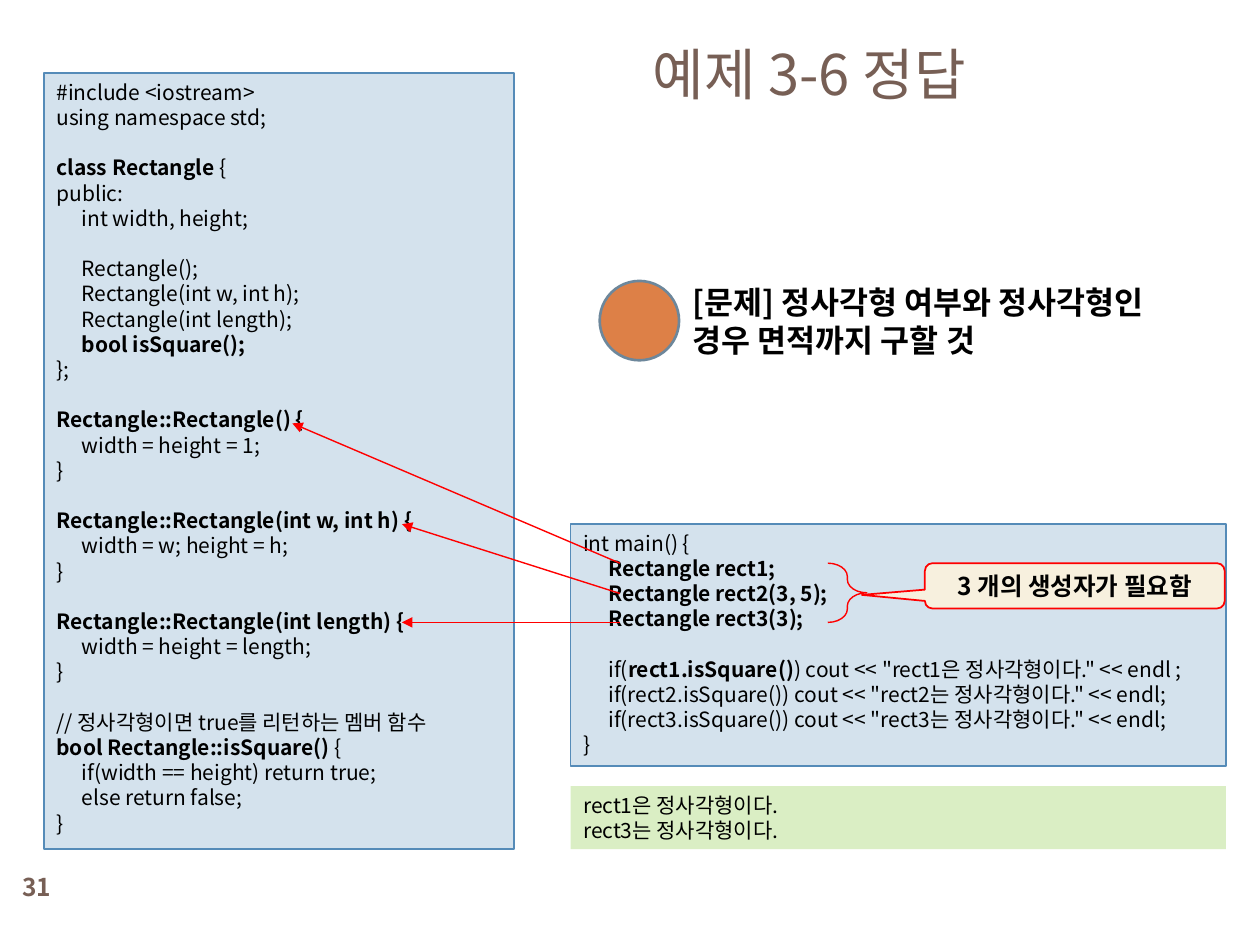
"""Build the answer slide for example 3-6: Rectangle constructors and isSquare()."""
from pptx import Presentation
from pptx.dml.color import RGBColor
from pptx.enum.shapes import MSO_CONNECTOR, MSO_SHAPE
from pptx.enum.text import MSO_ANCHOR, MSO_AUTO_SIZE, PP_ALIGN
from pptx.oxml.ns import qn
from pptx.util import Inches, Pt
from lxml.etree import SubElement

FONT = "Noto Sans CJK KR"
BLACK, BROWN, RED = "000000", "775F55", "FF0000"
CODE_FILL, CODE_LINE = "D4E2ED", "558BB8"
LINE_RATIO = 1.2
TAB = 0.2

CLASS_CODE = [
    ["#include <iostream>", "using namespace std;"],
    ["**class Rectangle **{", "public:", "\tint width, height;"],
    ["\tRectangle();", "\tRectangle(int w, int h);", "\tRectangle(int length);",
     "\t**bool isSquare();**", "};"],
    ["**Rectangle::Rectangle() {**", "\twidth = height = 1;", "}"],
    ["**Rectangle::Rectangle(int w, int h) {**", "\twidth = w; height = h;", "}"],
    ["**Rectangle::Rectangle(int length) {**", "\twidth = height = length;", "}"],
    ["// 정사각형이면 true를 리턴하는 멤버 함수", "**bool Rectangle::isSquare() **{",
     "\tif(width == height) return true;", "\telse return false;", "}"],
]
MAIN_CODE = [
    ["int main() {", "\t**Rectangle rect1;**", "\t**Rectangle rect2(3, 5);**",
     "\t**Rectangle rect3(3);**"],
    ['\tif(**rect1.isSquare()**) cout << "rect1은 정사각형이다." << endl ;',
     '\tif(rect2.isSquare()) cout << "rect2는 정사각형이다." << endl;',
     '\tif(rect3.isSquare()) cout << "rect3는 정사각형이다." << endl;', "}"],
]
OUTPUT = [["rect1은 정사각형이다.", "rect3는 정사각형이다."]]
PANELS = [
    (CLASS_CODE, (0.35, 0.58, 3.73, 6.16), CODE_FILL, CODE_LINE),
    (MAIN_CODE, (4.53, 4.16, 5.2, 1.92), CODE_FILL, CODE_LINE),
    (OUTPUT, (4.53, 6.24, 5.2, 0.5), "DAEEC4", None),
]
CALLS = [((4.92, 4.47), (2.32, 3.36)),
         ((4.92, 4.71), (3.19, 4.16)),
         ((4.92, 4.94), (3.19, 4.94))]


def rgb(color):
    """Turn a hex string into a colour."""
    return RGBColor.from_string(color)


def inches(values):
    """Turn numbers into lengths."""
    return [Inches(v) for v in values]


def write(sp, blocks, size=12, color=BLACK, align=PP_ALIGN.LEFT, anchor=MSO_ANCHOR.TOP):
    """Write blocks of lines, a line's gap between blocks, bold between ** marks."""
    tf = sp.text_frame
    tf.word_wrap = True
    tf.auto_size = MSO_AUTO_SIZE.NONE
    tf.vertical_anchor = anchor
    pitch = Pt(size * LINE_RATIO)
    lines = [(b, n, line) for b, block in enumerate(blocks) for n, line in enumerate(block)]
    for i, (b, n, line) in enumerate(lines):
        p = tf.add_paragraph() if i else tf.paragraphs[0]
        if line.startswith("\t"):
            tabs = SubElement(p._p.get_or_add_pPr(), qn("a:tabLst"))
            SubElement(tabs, qn("a:tab"), pos=str(Inches(TAB)), algn="l")
        p.alignment = align
        p.line_spacing = pitch
        if b and n == 0:
            p.space_before = pitch
        for part, text in enumerate(line.split("**")):
            if text:
                r = p.add_run()
                r.text = text
                r.font.size, r.font.name, r.font.bold = Pt(size), FONT, part % 2 == 1
                r.font.color.rgb = rgb(color)
                SubElement(r._r.get_or_add_rPr(), qn("a:ea"), typeface=FONT)


def add_shape(s, kind, box, fill=None, line=None, width=0.75, adj=()):
    """Add a flat preset shape."""
    sp = s.shapes.add_shape(kind, *inches(box))
    sp.shadow.inherit = False
    for i, value in enumerate(adj):
        sp.adjustments[i] = value
    if fill:
        sp.fill.solid()
        sp.fill.fore_color.rgb = rgb(fill)
    else:
        sp.fill.background()
    if line:
        sp.line.color.rgb = rgb(line)
        sp.line.width = Pt(width)
    else:
        sp.line.fill.background()
    return sp


def add_arrow(s, start, end):
    """Add a red arrow from a call to its constructor."""
    cn = s.shapes.add_connector(MSO_CONNECTOR.STRAIGHT, *inches(start + end))
    cn.line.color.rgb = rgb(RED)
    cn.line.width = Pt(0.79)
    SubElement(cn.line._get_or_add_ln(), qn("a:tailEnd"), type="triangle")
    SubElement(cn._element.spPr, qn("a:effectLst"))


def main():
    """Build and save the slide."""
    prs = Presentation()
    prs.slide_width, prs.slide_height = inches((10, 7.5))
    s = prs.slides.add_slide(prs.slide_layouts[5])

    title = s.shapes.title
    title.left, title.top, title.width, title.height = inches((5.08, 0.21, 4.51, 0.74))
    write(title, [["예제 3-6 정답"]], 32, BROWN, anchor=MSO_ANCHOR.MIDDLE)
    number = s.shapes.add_textbox(*inches((0, 6.83, 0.58, 0.42)))
    write(number, [["**31**"]], 14, BROWN, PP_ALIGN.CENTER, MSO_ANCHOR.MIDDLE)

    for blocks, box, fill, line in PANELS:
        write(add_shape(s, MSO_SHAPE.RECTANGLE, box, fill, line), blocks)

    callout = add_shape(s, MSO_SHAPE.ROUNDED_RECTANGULAR_CALLOUT, (7.34, 4.47, 2.38, 0.36),
                        "F7F0DE", RED, 1, (-0.71, 0.2, 0.17))
    write(callout, [["**3 개의 생성자가 필요함**"]], 14, BLACK, PP_ALIGN.CENTER, MSO_ANCHOR.MIDDLE)
    add_shape(s, MSO_SHAPE.RIGHT_BRACE, (6.57, 4.47, 0.31, 0.47), None, RED, 0.79, (0.34, 0.5))
    for start, end in CALLS:
        add_arrow(s, start, end)

    add_shape(s, MSO_SHAPE.OVAL, (4.76, 2.23, 0.63, 0.63), "DD8047", "6D879B", 1.5)
    problem = s.shapes.add_textbox(*inches((5.4, 2.2, 4.19, 0.71)))
    write(problem, [["**[문제] 정사각형 여부와 정사각형인 경우 면적까지 구할 것**"]], 18)

    prs.save("out.pptx")


if __name__ == "__main__":
    main()
